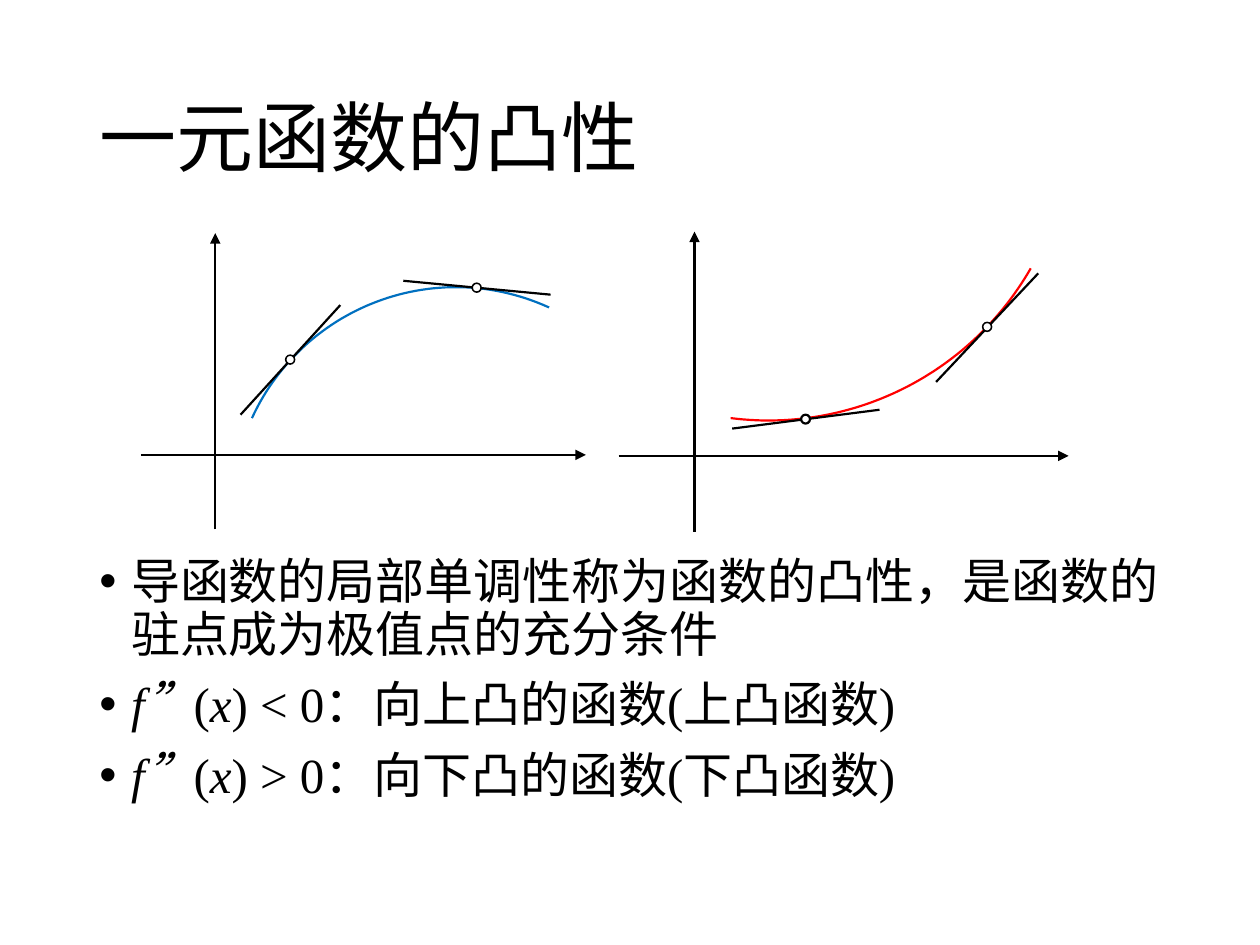
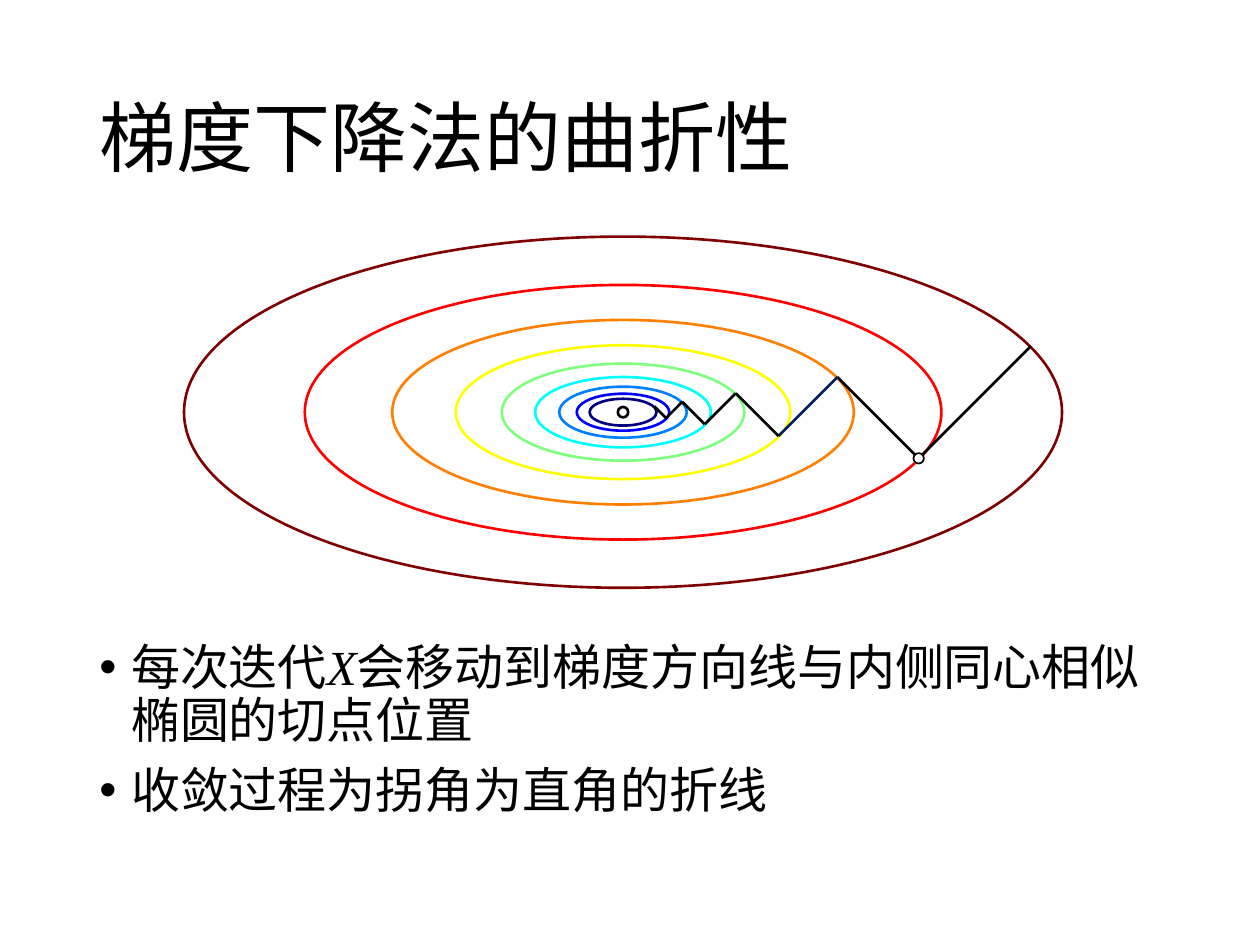
from itertools import pairwise

from pptx import Presentation
from pptx.dml.color import RGBColor
from pptx.enum.shapes import MSO_CONNECTOR, MSO_SHAPE
from pptx.enum.text import MSO_ANCHOR, MSO_AUTO_SIZE, PP_ALIGN
from pptx.oxml.ns import qn
from pptx.util import Cm, Pt
from lxml import etree

STRAIGHT = MSO_CONNECTOR.STRAIGHT
OVAL = MSO_SHAPE.OVAL
LEFT = PP_ALIGN.LEFT
TOP, MIDDLE = MSO_ANCHOR.TOP, MSO_ANCHOR.MIDDLE
NO_AUTOFIT = MSO_AUTO_SIZE.NONE

COLORS = {
    "black": "000000", "white": "FFFFFF", "navy": "002060",
    "concave": "0070C0", "convex": "FF0000",
}
# Contour colours from the outermost ellipse inwards
CONTOURS = ["7F0000", "FF0000", "FF7F00", "FFFF00", "7FFF7F",
            "00FFFF", "007FFF", "0000FF", "00007F"]
CJK_FONT = "Noto Sans CJK SC"
LATIN_FONT = "Times New Roman"
MARGIN, TEXT_WIDTH = 1.75, 21.9
SHRINK = 0.725  # size of each contour and step relative to the one before


def rgb(color):
    return RGBColor.from_string(COLORS.get(color, color))


# --- Text ---
def add_span(para, text, size=28, font=LATIN_FONT, italic=False, color="black"):
    span = para.add_run()
    span.text = text
    span.font.size = Pt(size)
    span.font.name = font
    span.font.italic = italic
    span.font.color.rgb = rgb(color)
    latin = span.font._element.find(qn("a:latin"))
    east_asian = etree.Element(qn("a:ea"), typeface=CJK_FONT)
    latin.addnext(east_asian)


def place_text(box, top, height, anchor):
    box.left, box.top = Cm(MARGIN), Cm(top)
    box.width, box.height = Cm(TEXT_WIDTH), Cm(height)
    frame = box.text_frame
    frame.word_wrap = True
    frame.auto_size = NO_AUTOFIT
    frame.vertical_anchor = anchor
    return frame


def set_bullet(para):
    properties = para._p.get_or_add_pPr()
    properties.set("marL", str(Cm(0.64)))
    properties.set("indent", str(-Cm(0.64)))
    etree.SubElement(properties, qn("a:buFont"), typeface="Arial")
    etree.SubElement(properties, qn("a:buChar"), char="•")


def add_title(page, text):
    para = place_text(page.shapes.title, 1.02, 3.68, MIDDLE).paragraphs[0]
    para.alignment = LEFT
    para.line_spacing = 0.9
    add_span(para, text, size=44, font=CJK_FONT)


def add_list(page, items, top, height):
    """Each item is a list of texts; every second text is italic."""
    frame = place_text(page.placeholders[1], top, height, TOP)
    for number, item in enumerate(items):
        para = frame.add_paragraph() if number else frame.paragraphs[0]
        para.alignment = LEFT
        para.line_spacing = 0.9
        para.space_before = Pt(10)
        set_bullet(para)
        for position, text in enumerate(item):
            if text:
                add_span(para, text, italic=position % 2 == 1)


# --- Drawing ---
def add_line(page, start, end, color="black", width=1.25, arrow=False):
    line = page.shapes.add_connector(STRAIGHT, *map(Cm, start + end))
    line.line.color.rgb = rgb(color)
    line.line.width = Pt(width)
    if arrow:
        etree.SubElement(line.line._get_or_add_ln(), qn("a:tailEnd"), type="triangle")
    etree.SubElement(line._element.spPr, qn("a:effectLst"))


def add_ellipse(page, center, width, height, color="black", line_width=1.5, fill=None):
    left, top = center[0] - width / 2, center[1] - height / 2
    ellipse = page.shapes.add_shape(OVAL, Cm(left), Cm(top), Cm(width), Cm(height))
    ellipse.shadow.inherit = False
    if fill:
        ellipse.fill.solid()
        ellipse.fill.fore_color.rgb = rgb(fill)
    else:
        ellipse.fill.background()
    ellipse.line.color.rgb = rgb(color)
    ellipse.line.width = Pt(line_width)


def add_point(page, center, size=0.18, line_width=0.88):
    add_ellipse(page, center, size, size, line_width=line_width, fill="white")


def bezier(controls, t):
    weights = ((1 - t) ** 3, 3 * t * (1 - t) ** 2, 3 * t ** 2 * (1 - t), t ** 3)
    return tuple(Cm(sum(w * c for w, c in zip(weights, axis)))
                 for axis in zip(*controls))


def add_curve(page, controls, color, steps=60):
    points = [bezier(controls, step / steps) for step in range(steps + 1)]
    builder = page.shapes.build_freeform(*points[0])
    builder.add_line_segments(points[1:], close=False)
    curve = builder.convert_to_shape()
    curve.shadow.inherit = False
    curve.fill.background()
    curve.line.color.rgb = rgb(color)
    curve.line.width = Pt(1.25)


def add_graph(page, curve, color, axes, tangents, points):
    add_curve(page, curve, color)
    for start, end in axes:
        add_line(page, start, end, arrow=True)
    for start, end in tangents:
        add_line(page, start, end)
    for center, line_width in points:
        add_point(page, center, line_width=line_width)


# --- Slides ---
def add_page(deck, title, items, top, height):
    page = deck.slides.add_slide(deck.slide_layouts[1])
    add_title(page, title)
    add_list(page, items, top, height)
    return page


def build_convexity(deck):
    page = add_page(deck, "一元函数的凸性", [
        ["导函数的局部单调性称为函数的凸性，是函数的驻点成为极值点的充分条件"],
        ["", "f”", "(", "x", ") < 0：向上凸的函数(上凸函数)"],
        ["", "f”", "(", "x", ") > 0：向下凸的函数(下凸函数)"],
    ], top=11.1, height=6.07)
    add_graph(
        page, color="concave",
        curve=[(11.07, 6.2), (8.79, 5.16), (6.12, 6.17), (5.08, 8.43)],
        axes=[((2.84, 9.17), (11.81, 9.17)), ((4.34, 10.67), (4.34, 4.7))],
        tangents=[((4.85, 8.36), (6.86, 6.15)), ((8.13, 5.66), (11.1, 5.94))],
        points=[((5.85, 7.25), 0.88), ((9.61, 5.8), 0.88)])
    add_graph(
        page, color="convex",
        curve=[(14.73, 8.43), (17.17, 8.74), (19.56, 7.54), (20.78, 5.41)],
        axes=[((12.47, 9.19), (21.54, 9.19)), ((14, 10.72), (14, 4.67))],
        tangents=[((17.73, 8.26), (14.76, 8.64)), ((20.93, 5.51), (18.87, 7.7))],
        points=[((16.24, 8.45), 1.25), ((19.9, 6.59), 0.88)])


def build_zigzag(deck):
    page = add_page(deck, "梯度下降法的曲折性", [
        ["每次迭代", "X", "会移动到梯度方向线与内侧同心相似椭圆的切点位置"],
        ["收敛过程为拐角为直角的折线"],
    ], top=12.83, height=4.34)

    # Similar concentric contours
    center = (12.56, 8.31)
    for level, color in enumerate(CONTOURS):
        width = 17.7 * SHRINK ** level
        add_ellipse(page, center, width, 0.4 * width, color)

    # Descent path: shrinking diagonal steps, alternately down and up
    corners = [(20.78, 6.98)]
    for step in range(8):
        x, y = corners[-1]
        length = 2.26 * SHRINK ** step
        corners.append((x - length, y + length * (-1) ** step))
    for step, (start, end) in enumerate(pairwise(corners)):
        add_line(page, start, end, "navy" if step == 2 else "black", 1.5)

    # Minimum and first iterate
    add_point(page, center, size=0.21, line_width=1.5)
    add_point(page, corners[1], size=0.21, line_width=1)


def main():
    deck = Presentation()
    deck.slide_width, deck.slide_height = Cm(25.4), Cm(19.05)
    build_convexity(deck)
    build_zigzag(deck)
    deck.save("out.pptx")


if __name__ == "__main__":
    main()
